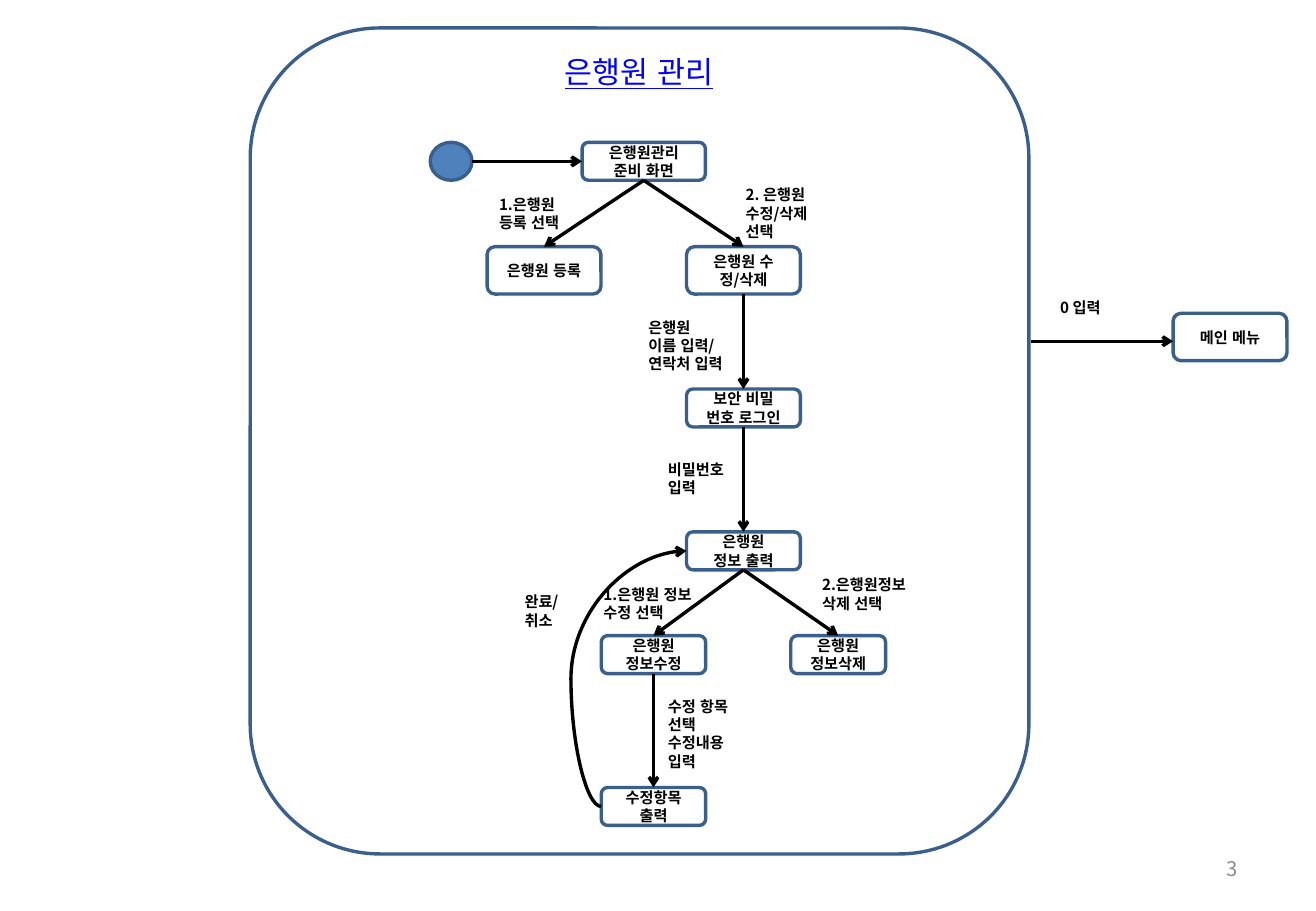
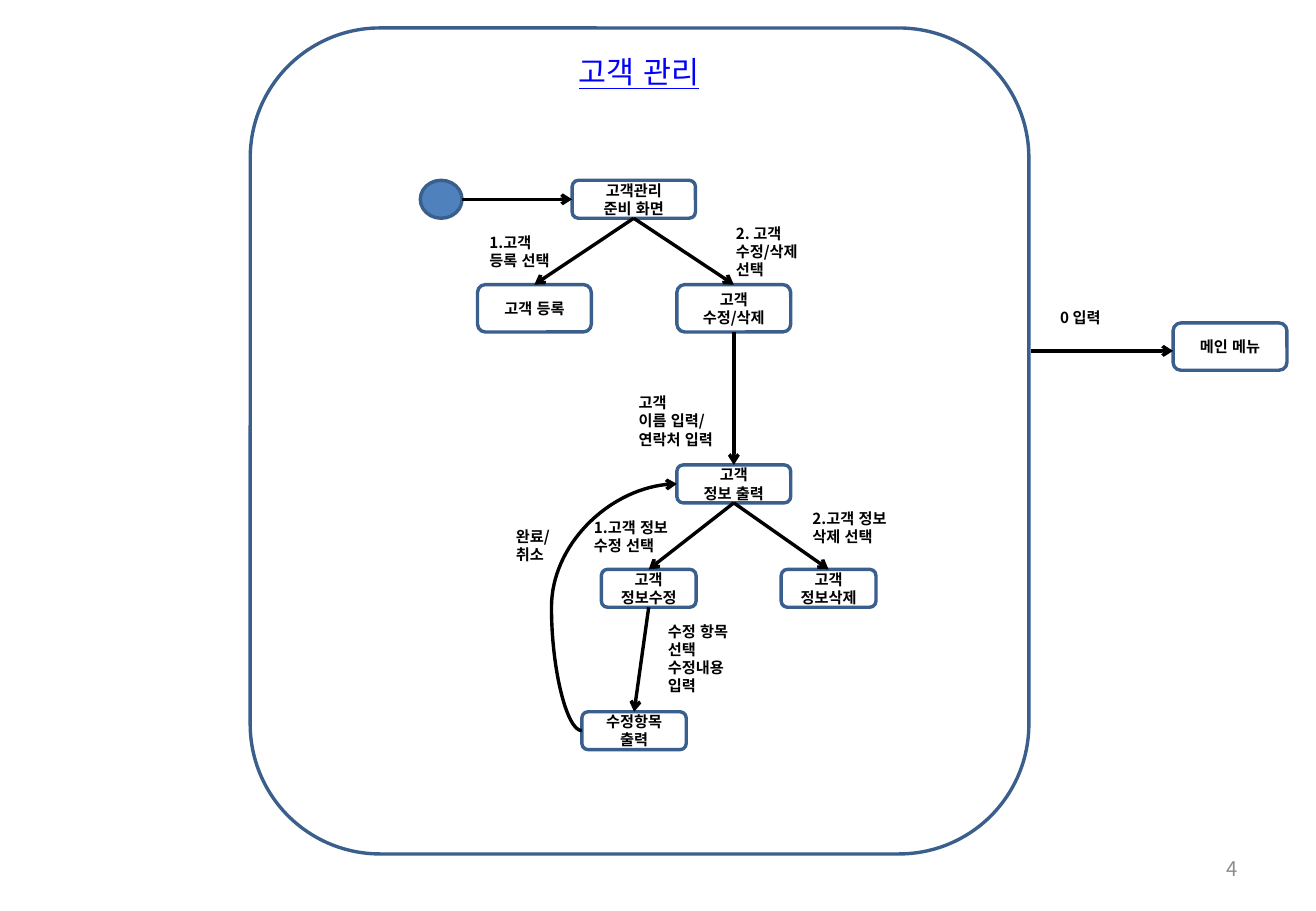
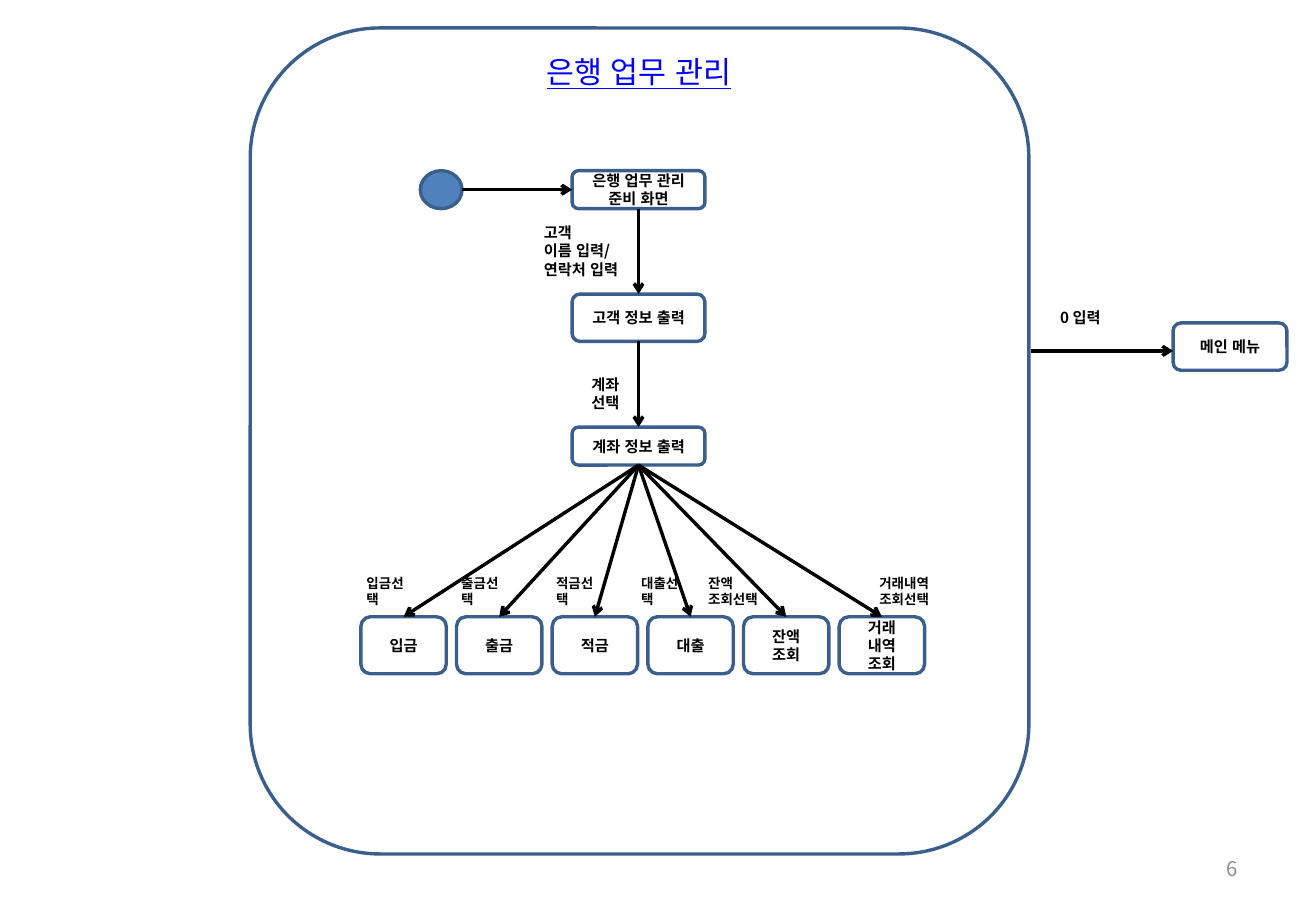
from lxml import etree
from pptx import Presentation
from pptx.dml.color import RGBColor
from pptx.enum.lang import MSO_LANGUAGE_ID
from pptx.enum.shapes import MSO_CONNECTOR, MSO_SHAPE
from pptx.enum.text import MSO_ANCHOR, PP_ALIGN
from pptx.oxml.ns import qn
from pptx.util import Pt

KOREAN = MSO_LANGUAGE_ID.KOREAN
STRAIGHT, CURVE = MSO_CONNECTOR.STRAIGHT, MSO_CONNECTOR.CURVE
ROUNDED, OVAL = MSO_SHAPE.ROUNDED_RECTANGLE, MSO_SHAPE.OVAL
TOP_ANCHOR, MIDDLE = MSO_ANCHOR.TOP, MSO_ANCHOR.MIDDLE
LEFT, CENTER, RIGHT = PP_ALIGN.LEFT, PP_ALIGN.CENTER, PP_ALIGN.RIGHT
TOP_SITE, LEFT_SITE, BOTTOM_SITE = 0, 1, 2

BLACK = RGBColor(0x00, 0x00, 0x00)
OUTLINE = RGBColor(0x3A, 0x5F, 0x8C)
START_FILL = RGBColor(0x4F, 0x81, 0xBD)
TITLE_BLUE = RGBColor(0x00, 0x00, 0xFF)
NUMBER_GREY = RGBColor(0x8C, 0x8C, 0x8C)
FONT = "Noto Sans CJK KR"

SLIDE_WIDTH, SLIDE_HEIGHT = 780, 540
FRAME = (148.3, 16.6, 461.5, 489.6)
TITLE_BOX = (221, 28.1, 315.4, 28.8)
NUMBER_BOX = (558.7, 500.4, 182.2, 28.8)
START_WIDTH, START_HEIGHT, START_OFFSET = 24.75, 22.5, 90
EXIT_FROM, EXIT_LEFT, EXIT_WIDTH = 611.3, 695.3, 67.5
LOW, TALL = 22.5, 28.1
STANDARD_INSET, TIGHT_INSET = (7.2, 3.6), (5.6, 2.8)

OPTION_LEFT, OPTION_TOP, OPTION_PITCH = 213.9, 365.6, 56.7
OPTION_SIZE = (50.6, 33.75)
OPTION_LABEL_TOP = 337.5
# name, box text, label text, label left, label width
OPTIONS = [
    ("deposit", "입금", "입금선택", 210.1, 36.6),
    ("withdraw", "출금", "출금선택", 266.3, 36.6),
    ("savings", "적금", "적금선택", 322.5, 36.6),
    ("loan", "대출", "대출선택", 372.9, 36.6),
    ("balance", "잔액\n조회", "잔액\n조회선택", 412.6, 50.6),
    ("history", "거래\n내역\n조회", "거래내역\n조회선택", 514.1, 56.2),
]

# nodes: name -> (left, top, width, height, text); the first one follows the start
# labels: (left, top, width, height, text)
DIAGRAMS = [
    {
        "title": "은행원 관리", "number": "3", "exit_top": 185.7,
        "nodes": {
            "ready": (345, 84.4, 73.1, LOW, "은행원관리\n준비 화면"),
            "register": (288.7, 146.2, 67.5, TALL, "은행원 등록"),
            "modify": (406.9, 146.2, 67.5, TALL, "은행원 수정/삭제"),
            "login": (406.9, 230.6, 67.5, LOW, "보안 비밀\n번호 로그인"),
            "output": (406.9, 315.3, 67.5, LOW, "은행원\n정보 출력"),
            "edit": (356.4, 376.8, 61.9, LOW, "은행원\n정보수정"),
            "delete": (468.7, 376.8, 56.2, LOW, "은행원\n정보삭제"),
            "item": (356.4, 466.8, 61.9, LOW, "수정항목 출력"),
        },
        "edges": [("ready", "register"), ("ready", "modify"), ("modify", "login"),
                  ("login", "output"), ("output", "edit"), ("output", "delete"),
                  ("edit", "item")],
        "loop": ("item", "output", -35600),
        "labels": [
            (288.7, 112.3, 61.9, 28.8, "1.은행원\n등록 선택"),
            (434.9, 106.6, 56.2, 40.3, "2. 은행원 수정/삭제 선택"),
            (350.6, 343.4, 73.4, 28.8, "1.은행원 정보\n수정 선택"),
            (480.2, 337.7, 67.7, 28.8, "2.은행원정보\n삭제 선택"),
        ],
        "tight_labels": [
            (378.7, 185.8, 67.7, 38.9, "은행원\n이름 입력/\n연락처 입력"),
            (305.3, 348.5, 56.9, 28.1, "완료/\n취소"),
            (390.2, 410.4, 56.2, 60.5, "수정 항목\n선택\n수정내용\n입력"),
            (390.2, 270, 56.2, 28.1, "비밀번호 입력"),
        ],
    },
    {
        "title": "고객 관리", "number": "4", "exit_top": 191.4,
        "nodes": {
            "ready": (339.1, 106.9, 73.1, LOW, "고객관리\n준비 화면"),
            "register": (283, 168.7, 67.5, TALL, "고객 등록"),
            "modify": (401.2, 168.7, 67.5, TALL, "고객\n수정/삭제"),
            "output": (401.2, 275.6, 67.5, LOW, "고객\n정보 출력"),
            "edit": (356.4, 337.5, 56.2, LOW, "고객\n정보수정"),
            "delete": (463, 337.5, 56.2, LOW, "고객\n정보삭제"),
            "item": (344.9, 421.9, 61.9, LOW, "수정항목 출력"),
        },
        "edges": [("ready", "register"), ("ready", "modify"), ("modify", "output"),
                  ("output", "edit"), ("output", "delete"), ("edit", "item")],
        "loop": ("item", "output", -32000),
        "labels": [
            (283, 134.6, 61.9, 28.8, "1.고객\n등록 선택"),
            (429.1, 129.4, 56.2, 40.3, "2. 고객\n수정/삭제 선택"),
            (344.9, 303.8, 73.4, 28.8, "1.고객 정보\n수정 선택"),
            (474.5, 298.1, 67.7, 28.8, "2.고객 정보\n삭제 선택"),
        ],
        "tight_labels": [
            (373, 230.4, 67.7, 38.9, "고객\n이름 입력/\n연락처 입력"),
            (300.2, 309.6, 56.9, 28.1, "완료/\n취소"),
            (390.2, 365.8, 56.9, 60.5, "수정 항목\n선택\n수정내용\n입력"),
        ],
    },
    {
        "title": "은행 업무 관리", "number": "6", "exit_top": 191.4,
        "nodes": {
            "ready": (339.1, 101.2, 78.75, LOW, "은행 업무 관리\n준비 화면"),
            "customer": (339.1, 174.3, 78.75, TALL, "고객 정보 출력"),
            "account": (339.1, 253.2, 78.75, LOW, "계좌 정보 출력"),
            **{name: (OPTION_LEFT + index * OPTION_PITCH, OPTION_TOP, *OPTION_SIZE, text)
               for index, (name, text, *_) in enumerate(OPTIONS)},
        },
        "edges": [("ready", "customer"), ("customer", "account"),
                  *(("account", option[0]) for option in OPTIONS)],
        "tight_labels": [
            (344.9, 219.6, 39.6, 28.1, "계좌\n선택"),
            (316.8, 129.6, 67.7, 38.9, "고객\n이름 입력/\n연락처 입력"),
        ],
        "small_labels": [(left, OPTION_LABEL_TOP, width, 26.6, text)
                         for _, _, text, left, width in OPTIONS],
    },
]

LABEL_STYLES = {
    "labels": {},
    "tight_labels": {"inset": TIGHT_INSET},
    "small_labels": {"size": 8},
}


def points(*values):
    return [Pt(value) for value in values]


def write_text(shape, text, size=9, color=BLACK, bold=True, underline=None,
               align=LEFT, anchor=TOP_ANCHOR, inset=STANDARD_INSET):
    """Fill a shape with text, one paragraph per line."""
    frame = shape.text_frame
    frame.word_wrap = True
    frame.vertical_anchor = anchor
    frame.margin_left = frame.margin_right = Pt(inset[0])
    frame.margin_top = frame.margin_bottom = Pt(inset[1])
    frame.text = text
    for paragraph in frame.paragraphs:
        paragraph.alignment = align
        font = paragraph.runs[0].font
        font.size, font.bold, font.underline = Pt(size), bold, underline
        font.color.rgb = color
        font.name = FONT
        font.language_id = KOREAN
        latin = font._element.find(qn("a:latin"))
        east_asian = etree.Element(qn("a:ea"), typeface=FONT)
        latin.addnext(east_asian)


def add_label(slide, box, text, **text_format):
    write_text(slide.shapes.add_textbox(*points(*box)), text, **text_format)


def add_outlined(slide, preset, box, fill=None):
    shape = slide.shapes.add_shape(preset, *points(*box))
    shape.shadow.inherit = False
    if fill is None:
        shape.fill.background()
    else:
        shape.fill.solid()
        shape.fill.fore_color.rgb = fill
    shape.line.color.rgb = OUTLINE
    shape.line.width = Pt(2)
    return shape


def add_node(slide, box, text):
    node = add_outlined(slide, ROUNDED, box)
    write_text(node, text, align=CENTER, anchor=MIDDLE)
    return node


def add_arrow(slide, kind=STRAIGHT, ends=(0, 0, 0, 0), begin=None, end=None, bend=None):
    """Draw an arrow; begin and end are (shape, site) pairs that replace the ends."""
    arrow = slide.shapes.add_connector(kind, *points(*ends))
    if begin:
        arrow.begin_connect(*begin)
    if end:
        arrow.end_connect(*end)
    arrow.line.color.rgb = BLACK
    arrow.line.width = Pt(2)
    etree.SubElement(arrow.line._get_or_add_ln(), qn("a:tailEnd"), type="arrow")
    properties = arrow._element.spPr
    etree.SubElement(properties, qn("a:effectLst"))
    if bend is not None:
        adjustments = properties.find(qn("a:prstGeom")).find(qn("a:avLst"))
        etree.SubElement(adjustments, qn("a:gd"), name="adj1", fmla=f"val {bend}")


def add_start(slide, first_box):
    left, top = first_box[:2]
    start_left, middle = left - START_OFFSET, top + START_HEIGHT / 2
    add_outlined(slide, OVAL, (start_left, top, START_WIDTH, START_HEIGHT), START_FILL)
    add_arrow(slide, ends=(start_left + START_WIDTH, middle, left, middle))


def add_exit(slide, top):
    add_node(slide, (EXIT_LEFT, top, EXIT_WIDTH, TALL), "메인 메뉴")
    arrow_y = top + 16.6
    add_arrow(slide, ends=(EXIT_FROM, arrow_y, EXIT_LEFT, arrow_y))
    add_label(slide, (622.8, top - 11.5, 50.4, 17.3), "0 입력", inset=TIGHT_INSET)


def add_title(slide, text):
    title = slide.shapes.title
    title.left, title.top, title.width, title.height = points(*TITLE_BOX)
    write_text(title, text, size=18, color=TITLE_BLUE, bold=False,
               underline=True, align=CENTER)


def add_diagram(presentation, diagram):
    slide = presentation.slides.add_slide(presentation.slide_layouts[5])
    add_title(slide, diagram["title"])
    add_outlined(slide, ROUNDED, FRAME)

    nodes = {name: add_node(slide, box, text)
             for name, (*box, text) in diagram["nodes"].items()}
    for source, target in diagram["edges"]:
        add_arrow(slide, begin=(nodes[source], BOTTOM_SITE), end=(nodes[target], TOP_SITE))
    if "loop" in diagram:
        source, target, bend = diagram["loop"]
        add_arrow(slide, CURVE, begin=(nodes[source], LEFT_SITE),
                  end=(nodes[target], LEFT_SITE), bend=bend)

    add_start(slide, diagram["nodes"]["ready"])
    add_exit(slide, diagram["exit_top"])
    for group, text_format in LABEL_STYLES.items():
        for *box, text in diagram.get(group, []):
            add_label(slide, box, text, **text_format)
    add_label(slide, NUMBER_BOX, diagram["number"], size=12, color=NUMBER_GREY,
              bold=False, align=RIGHT, anchor=MIDDLE)


def main():
    presentation = Presentation()
    presentation.slide_width, presentation.slide_height = points(SLIDE_WIDTH, SLIDE_HEIGHT)
    for diagram in DIAGRAMS:
        add_diagram(presentation, diagram)
    presentation.save("out.pptx")


if __name__ == "__main__":
    main()
